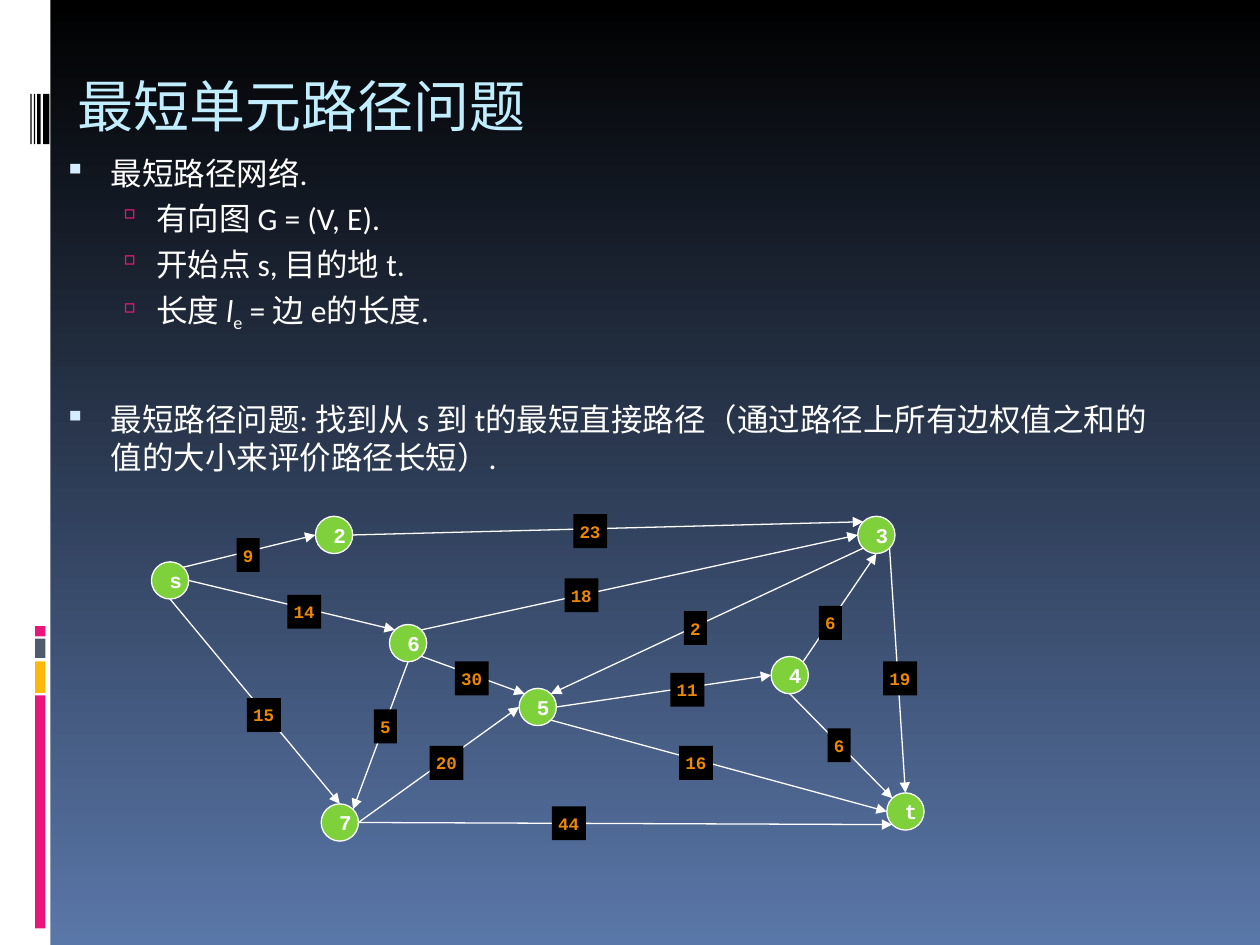
import math
from dataclasses import dataclass

from lxml import etree
from pptx import Presentation
from pptx import util as u
from pptx.dml.color import RGBColor
from pptx.enum import shapes, text
from pptx.oxml import ns

Pt = u.Pt


@dataclass(frozen=True)
class Theme:
    white: str = "FFFFFF"
    black: str = "000000"
    sky: str = "5A77A9"
    pink: str = "EA157A"
    amber: str = "FEB80A"
    slate: str = "4E5B6F"
    title: str = "C1EEFF"
    bullet: str = "D6ECFF"
    node: str = "7FD13B"
    weight: str = "EB8803"
    body_font: str = "Calibri"
    mono_font: str = "Courier New"
    title_size: float = 32
    body_size: float = 18
    node_size: float = 12
    weight_size: float = 10


theme = Theme()


def add_block(preset, left, top, width, height, fill):
    shape = slide.shapes.add_shape(preset, Pt(left), Pt(top), Pt(width), Pt(height))
    shape.shadow.inherit = False
    shape.fill.solid()
    shape.fill.fore_color.rgb = RGBColor.from_string(fill)
    shape.line.fill.background()
    return shape


def style_text(paragraph, font_name, size, color, bold=False):
    font = paragraph.font
    font.name = font_name
    font.size = Pt(size)
    font.bold = bold
    font.color.rgb = RGBColor.from_string(color)


presentation = Presentation()
presentation.slide_width, presentation.slide_height = Pt(720), Pt(540)
slide = presentation.slides.add_slide(presentation.slide_layouts[6])

background = slide.background.fill
background.gradient()
background.gradient_angle = 270
for stop, color in zip(background.gradient_stops, (theme.black, theme.sky)):
    stop.color.rgb = RGBColor.from_string(color)

RECTANGLE = shapes.MSO_SHAPE.RECTANGLE
OVAL = shapes.MSO_SHAPE.OVAL

add_block(RECTANGLE, 0, 0, 28.8, 540, theme.white)
for top, height, color in [
    (397.3, 133.2, theme.pink),
    (377.9, 18, theme.amber),
    (365, 10.9, theme.slate),
    (357.8, 5.8, theme.pink),
]:
    add_block(RECTANGLE, 20.1, top, 5.8, height, color)
for left, width in [(24.6, 3.6), (21.2, 2), (19.4, 0.8), (17.4, 0.7)]:
    add_block(RECTANGLE, left, 53.6, width, 28.8, theme.black)

title = slide.shapes.add_textbox(Pt(37.4), Pt(36), Pt(682), Pt(48)).text_frame
title.word_wrap = True
title.vertical_anchor = text.MSO_ANCHOR.MIDDLE
title.text = "最短单元路径问题"
style_text(title.paragraphs[0], theme.mono_font, theme.title_size, theme.title)

body = slide.shapes.add_textbox(Pt(23.8), Pt(84.2), Pt(640), Pt(306)).text_frame
body.word_wrap = True
levels = [
    (32.4, -26.6, "▪", theme.bullet, 95),
    (58.3, -22.3, "▫", theme.pink, 90),
]
items = [
    (0, 0, ["最短路径网络."]),
    (1, 4.5, ["有向图 G = (V, E)."]),
    (1, 4.5, ["开始点 s, 目的地 t."]),
    (1, 4.5, ["长度 ", "l", "e", " = 边 e的长度."]),
    (0, 38, ["最短路径问题: 找到从 s 到 t的最短直接路径"
             "（通过路径上所有边权值之和的值的大小来评价路径长短）."]),
]
for index, (level, space, pieces) in enumerate(items):
    paragraph = body.add_paragraph() if index else body.paragraphs[0]
    margin, indent, symbol, color, percent = levels[level]
    properties = paragraph._p.get_or_add_pPr()
    properties.set("marL", str(Pt(margin)))
    properties.set("indent", str(Pt(indent)))
    bullet_color = etree.SubElement(properties, ns.qn("a:buClr"))
    etree.SubElement(bullet_color, ns.qn("a:srgbClr"), val=color)
    etree.SubElement(properties, ns.qn("a:buSzPct"), val=str(percent * 1000))
    etree.SubElement(properties, ns.qn("a:buChar"), char=symbol)
    paragraph.level = level
    paragraph.space_before = Pt(space)
    style_text(paragraph, theme.body_font, theme.body_size, theme.white)
    for piece in pieces:
        run = paragraph.add_run()
        run.text = piece
        if piece == "l":
            run.font.italic = True
        elif piece == "e":
            run.font._element.set("baseline", "-25000")

RADIUS = 10.65
nodes = {
    "s": (97.2, 331.7), "3": (500.8, 305.7), "t": (517.4, 463.7),
    "2": (190.9, 305.7), "6": (233.2, 367.5), "7": (194.2, 470),
    "4": (451.3, 385.8), "5": (307.3, 404),
}
directions = {name: step * math.pi / 4 for step, name in
              enumerate(["E", "SE", "S", "SW", "W", "NW", "N", "NE"])}
edges = [
    ("s", "NE", "2", "W", "9", 141.8, 317.2),
    ("s", "E", "6", "NW", "14", 173.9, 349.6),
    ("s", "S", "7", "N", "15", 150.8, 408.6),
    ("6", "NE", "3", "W", "18", 332.3, 340.2),
    ("4", "NE", "3", "S", "6", 474.5, 356),
    ("6", "SE", "5", "NW", "30", 269.6, 387.7),
    ("5", "SE", "t", "W", "16", 397.8, 436),
    ("5", "E", "4", "W", "11", 392.8, 394.2),
    ("4", "S", "t", "NW", "6", 479.5, 425.9),
    ("3", "SW", "5", "NE", "2", 397.4, 358.9),
    ("6", "S", "7", "NE", "5", 220.3, 415.1),
    ("7", "E", "5", "W", "20", 255.2, 436),
    ("2", "E", "3", "NW", "23", 337.3, 303.5),
    ("7", "E", "t", "SW", "44", 325.1, 470.5),
    ("3", "SE", "t", "N", "19", 514.4, 387.7),
]

for name, (x, y) in nodes.items():
    node = add_block(OVAL, x - RADIUS, y - RADIUS, 2 * RADIUS, 2 * RADIUS, theme.node)
    node.line.color.rgb = RGBColor.from_string(theme.white)
    node.line.width = Pt(0.75)
    node.text_frame.word_wrap = False
    node.text_frame.text = name
    style_text(node.text_frame.paragraphs[0], theme.mono_font, theme.node_size,
               theme.white, bold=True)

for source, leaving, target, arriving, *_ in edges:
    ends = []
    for name, side in ((source, leaving), (target, arriving)):
        x, y = nodes[name]
        angle = directions[side]
        ends += [Pt(x + RADIUS * math.cos(angle)), Pt(y + RADIUS * math.sin(angle))]
    arrow = slide.shapes.add_connector(shapes.MSO_CONNECTOR.STRAIGHT, *ends)
    arrow.line.color.rgb = RGBColor.from_string(theme.white)
    arrow.line.width = Pt(0.75)
    etree.SubElement(arrow.line._get_or_add_ln(), ns.qn("a:tailEnd"), type="triangle")
    etree.SubElement(arrow._element.spPr, ns.qn("a:effectLst"))

for *_, weight, x, y in edges:
    width = 19.4 if len(weight) == 2 else 13.2
    label = add_block(RECTANGLE, x - width / 2, y - 9.7, width, 19.4, theme.black)
    frame = label.text_frame
    frame.margin_left = frame.margin_right = Pt(3.6)
    frame.word_wrap = False
    frame.text = weight
    style_text(frame.paragraphs[0], theme.mono_font, theme.weight_size,
               theme.weight, bold=True)

presentation.save("out.pptx")
